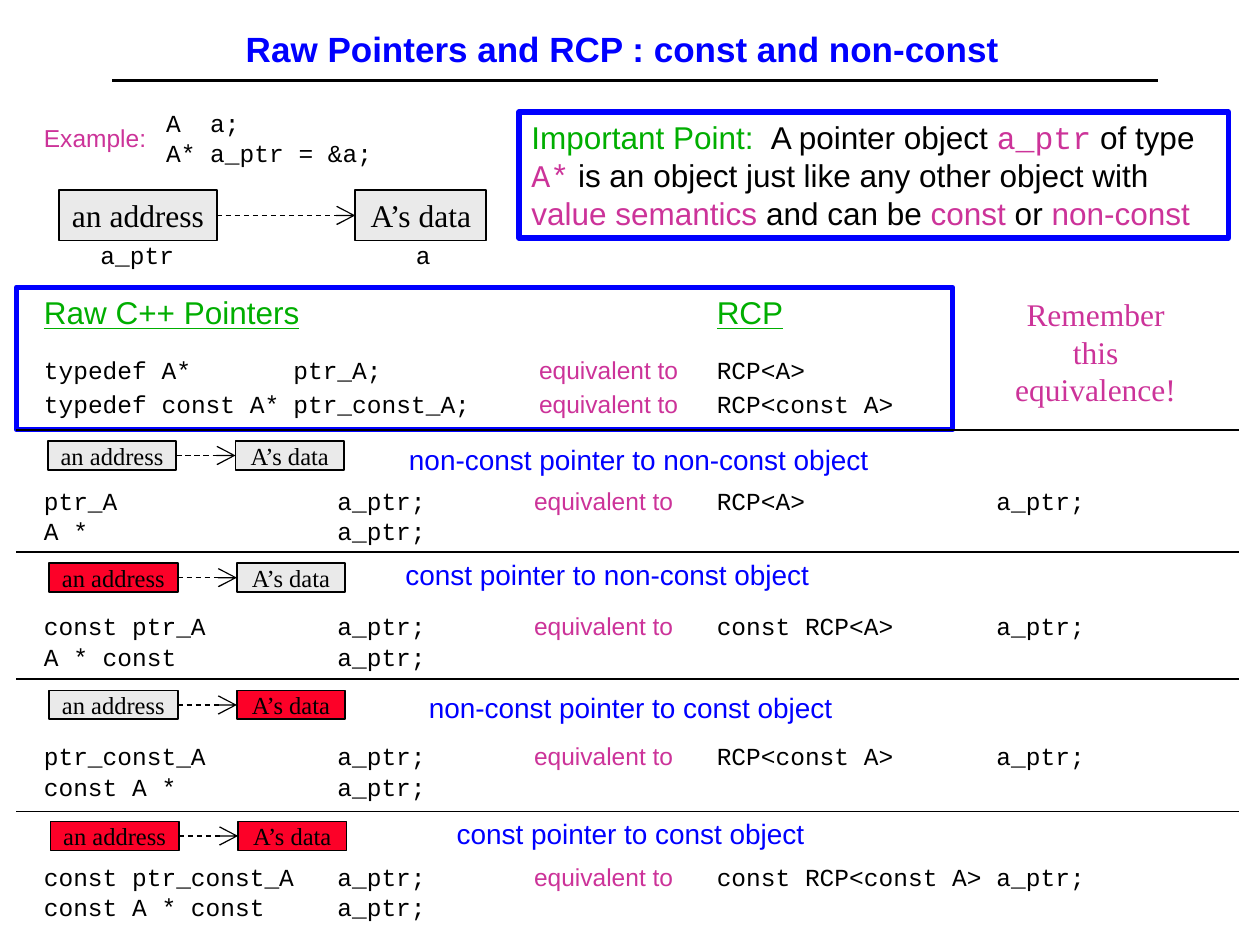
from lxml import etree
from pptx import Presentation
from pptx import util as u
from pptx.dml import color
from pptx.enum import dml, shapes, text
from pptx.oxml import ns

COLORS = {"black": "000000", "white": "FFFFFF", "blue": "0000FF", "green": "00AE00",
          "pink": "CC3399", "gray": "EAEAEA", "red": "FC0128"}
RGB = {name: color.RGBColor.from_string(value) for name, value in COLORS.items()}
CENTER = text.PP_ALIGN.CENTER
STYLES = {
    "title": {"font": {"name": "Arial", "size": u.Pt(20), "bold": True}, "color": "blue",
              "para": {"alignment": CENTER}},
    "column": {"font": {"name": "Arial", "size": u.Pt(18), "underline": True}, "color": "green",
               "para": {"space_after": u.Pt(4.5)}, "indent": (0.38, -0.38)},
    "code": {"font": {"name": "Courier New", "size": u.Pt(14)}, "color": "black", "para": {}},
    "name": {"font": {"name": "Courier New", "size": u.Pt(14)}, "color": "black",
             "para": {"alignment": CENTER, "space_after": u.Pt(3.5)}},
    "equal": {"font": {"name": "Arial", "size": u.Pt(14)}, "color": "pink",
              "para": {"space_after": u.Pt(3.5)}, "indent": (0.38, -0.19)},
    "example": {"font": {"name": "Arial", "size": u.Pt(14)}, "color": "pink", "para": {}},
    "case": {"font": {"name": "Arial", "size": u.Pt(16)}, "color": "blue",
             "para": {"alignment": CENTER, "space_after": u.Pt(4)}, "indent": (0.38, -0.19)},
    "point": {"font": {"name": "Arial", "size": u.Pt(18)}, "color": "black", "para": {}},
    "remember": {"font": {"name": "Times New Roman", "size": u.Pt(18)}, "color": "pink",
                 "para": {"alignment": CENTER, "space_after": u.Pt(11.2)}},
    "large node": {"font": {"name": "Times New Roman", "size": u.Pt(18)}, "color": "black",
                   "para": {"alignment": CENTER}},
    "small node": {"font": {"name": "Times New Roman", "size": u.Pt(14)}, "color": "black",
                   "para": {"alignment": CENTER}},
}


def write(box, lines, style, tab=None):
    look = STYLES[style]
    frame = box.text_frame
    frame.word_wrap = "node" not in style
    for index, line in enumerate(lines):
        para = frame.add_paragraph() if index else frame.paragraphs[0]
        para.alignment = text.PP_ALIGN.LEFT
        for key, value in look["para"].items():
            setattr(para, key, value)
        props = para._p.get_or_add_pPr()
        for key, value in zip(("marL", "indent"), look.get("indent", ())):
            props.set(key, str(u.Inches(value)))
        if tab:
            stops = etree.SubElement(props, ns.qn("a:tabLst"))
            etree.SubElement(stops, ns.qn("a:tab"), pos=str(u.Inches(tab)), algn="l")
        for words, shade, face in [(line, None, None)] if isinstance(line, str) else line:
            span = para.add_run()
            span.text = words
            for key, value in look["font"].items():
                setattr(span.font, key, value)
            span.font.name = face or look["font"]["name"]
            span.font.color.rgb = RGB[shade or look["color"]]


def draw_pointer(top, height, lefts, widths, fills, style, margin):
    nodes = []
    for left, width, fill, label in zip(lefts, widths, fills, ("an address", "A’s data")):
        node = page.shapes.add_shape(shapes.MSO_SHAPE.RECTANGLE, u.Inches(left), u.Inches(top),
                                     u.Inches(width), u.Inches(height))
        node.shadow.inherit = False
        node.fill.solid()
        node.fill.fore_color.rgb = RGB[fill]
        node.line.color.rgb = RGB["black"]
        node.line.width = u.Pt(1)
        frame = node.text_frame
        frame.vertical_anchor = text.MSO_ANCHOR.TOP
        frame.margin_top = frame.margin_bottom = u.Inches(margin)
        write(node, [label], style)
        nodes.append(node)
    arrow = page.shapes.add_connector(shapes.MSO_CONNECTOR.STRAIGHT, 0, 0, 0, 0)
    arrow.begin_connect(nodes[0], 3)
    arrow.end_connect(nodes[1], 1)
    arrow.line.color.rgb = RGB["black"]
    arrow.line.width = u.Pt(0.75)
    arrow.line.dash_style = dml.MSO_LINE.DASH
    etree.SubElement(arrow.line._get_or_add_ln(), ns.qn("a:tailEnd"), type="arrow", w="lg", len="lg")
    etree.SubElement(arrow._element.spPr, ns.qn("a:effectLst"))


deck = Presentation()
deck.slide_width, deck.slide_height = u.Inches(10), u.Inches(7.5)
page = deck.slides.add_slide(deck.slide_layouts[5])

title = page.shapes.title
for key, value in zip(("left", "top", "width", "height"), (0.69, 0.14, 8.5, 0.49)):
    setattr(title, key, u.Inches(value))
title.text_frame.vertical_anchor = text.MSO_ANCHOR.MIDDLE
write(title, ["Raw Pointers and RCP : const and non-const"], "title")

frames = []
for left, top, width, height in ((4.12, 0.89, 5.63, 1), (0.13, 2.28, 7.43, 1.13)):
    box = page.shapes.add_shape(shapes.MSO_SHAPE.RECTANGLE, u.Inches(left), u.Inches(top),
                                u.Inches(width), u.Inches(height))
    box.shadow.inherit = False
    box.fill.background()
    box.line.color.rgb = RGB["blue"]
    box.line.width = u.Pt(3)
    box.text_frame.vertical_anchor = text.MSO_ANCHOR.TOP
    frames.append(box)
write(frames[0], [[
    ("Important Point:", "green", None), ("\tA pointer object ", None, None),
    ("a_ptr", "pink", "Courier New"), (" of type ", None, None),
    ("A*", "pink", "Courier New"),
    (" is an object just like any other object with ", None, None),
    ("value semantics", "pink", None), (" and can be ", None, None),
    ("const", "pink", None), (" or ", None, None), ("non-const", "pink", None),
]], "point", 1.9)

draw_pointer(1.51, 0.4, (0.47, 2.82), (1.25, 1.04), ("gray", "gray"), "large node", 0.05)

RAW, RCP = 0.25, 5.59
labels = [
    (RAW, 0.93, 1.68, 0.33, ["Example:"], "example", None),
    (1.22, 0.81, 1.91, 0.57, ["A\ta;", "A* a_ptr = &a;"], "code", 0.35),
    (0.67, 1.86, 0.84, 0.33, ["a_ptr"], "name", None),
    (2.94, 1.86, 0.84, 0.33, ["a"], "name", None),
    (RAW, 2.28, 3.91, 0.4, ["Raw C++ Pointers"], "column", None),
    (RCP, 2.28, 3.91, 0.4, ["RCP"], "column", None),
    (7.9, 2.29, 1.59, 1, ["Remember this equivalence!"], "remember", None),
]
for top, raw, rcp in ((2.77, "typedef A*\tptr_A;", "RCP<A>"),
                      (3.04, "typedef const A*\tptr_const_A;", "RCP<const A>")):
    labels += [
        (RAW, top, 4.28, 0.33, [raw], "code", 1.98),
        (3.99, top, 1.68, 0.33, ["equivalent to"], "equal", None),
        (RCP, top, 2.69, 0.33, [rcp], "code", None),
    ]

cases = [
    ("non-const pointer to non-const object", 2.56, 4.83, 3.46, 3.81, 4.05,
     "ptr_A", "A *", "RCP<A>", 0.38, 3.5, ("gray", "gray")),
    ("const pointer to non-const object", 2.77, 3.91, 4.38, 4.8, 5.05,
     "const ptr_A", "A * const", "const RCP<A>", 0.39, 4.47, ("red", "gray")),
    ("non-const pointer to const object", 2.77, 4.28, 5.43, 5.83, 6.08,
     "ptr_const_A", "const A *", "RCP<const A>", 0.39, 5.48, ("gray", "red")),
    ("const pointer to const object", 2.77, 4.28, 6.43, 6.79, 7.03,
     "const ptr_const_A", "const A * const", "const RCP<const A>", 0.4, 6.52, ("red", "red")),
]
for (heading, left, width, top, first, second, alias, plain, rcp,
     node_left, node_top, fills) in cases:
    labels += [
        (left, top, width, 0.36, [heading], "case", None),
        (RAW, first, 3.53, 0.33, [alias + "\ta_ptr;"], "code", 2.33),
        (RAW, second, 3.53, 0.33, [plain + "\ta_ptr;"], "code", 2.33),
        (3.95, first, 1.68, 0.33, ["equivalent to"], "equal", None),
        (RCP, first, 4.12, 0.33, [rcp + "\ta_ptr;"], "code", 2.22),
    ]
    draw_pointer(node_top, 0.23, (node_left, node_left + 1.49), (1.02, 0.86), fills,
                 "small node", 0)

for left, top, width, height, lines, style, tab in labels:
    box = page.shapes.add_textbox(u.Inches(left), u.Inches(top), u.Inches(width), u.Inches(height))
    write(box, lines, style, tab)

for start, end, top, weight in ((0.89, 9.19, 0.64, 2), (0.13, 9.83, 3.41, 1), (0.13, 9.83, 4.38, 1),
                                (0.13, 9.83, 5.39, 1), (0.13, 9.83, 6.44, 1)):
    rule = page.shapes.add_connector(shapes.MSO_CONNECTOR.STRAIGHT, u.Inches(start), u.Inches(top),
                                     u.Inches(end), u.Inches(top))
    rule.line.color.rgb = RGB["black"]
    rule.line.width = u.Pt(weight)
    etree.SubElement(rule._element.spPr, ns.qn("a:effectLst"))

deck.save("out.pptx")
